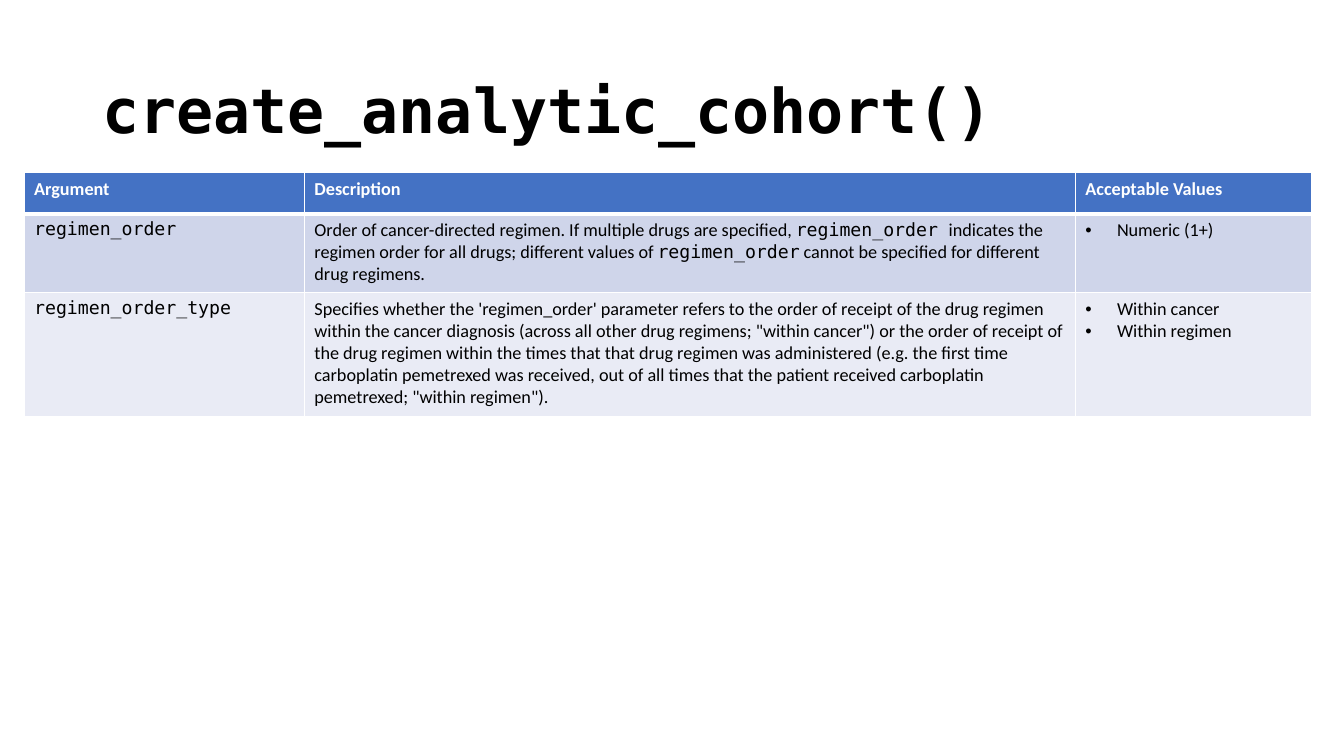
from dataclasses import dataclass

from lxml import etree
from pptx import Presentation
from pptx import util as u
from pptx.dml.color import RGBColor
from pptx.enum import text
from pptx.oxml import ns


@dataclass(frozen=True)
class Theme:
    body_font: str = "Calibri"
    code_font: str = "DejaVu Sans Mono"
    title_size: int = 44
    body_size: int = 13
    ink: str = "000000"
    white: str = "FFFFFF"
    header: str = "4472C4"
    bands: tuple = ("CFD5EA", "E9EBF5")
    thin: int = 1
    thick: int = 3


THEME = Theme()
BULLET_INDENT = 22.5
COLUMN_WIDTHS = (200.2, 550.8, 168.5)
ROW_HEIGHTS = (29.5, 56.2, 88.5)
HEADINGS = ("Argument", "Description", "Acceptable Values")

# Each argument: name, description as (text, is_code) pieces, acceptable values
ARGUMENTS = (
    (
        "regimen_order",
        (
            ("Order of cancer-directed regimen. If multiple drugs are specified, ", False),
            ("regimen_order ", True),
            ("indicates the regimen order for all drugs; different values of ", False),
            ("regimen_order", True),
            (" cannot be specified for different drug regimens.", False),
        ),
        ("Numeric (1+)",),
    ),
    (
        "regimen_order_type",
        (
            (
                "Specifies whether the 'regimen_order' parameter refers to the order of "
                "receipt of the drug regimen within the cancer diagnosis (across all other "
                "drug regimens; \"within cancer\") or the order of receipt of the drug "
                "regimen within the times that that drug regimen was administered (e.g. "
                "the first time carboplatin pemetrexed was received, out of all times that "
                "the patient received carboplatin pemetrexed; \"within regimen\").",
                False,
            ),
        ),
        ("Within cancer", "Within regimen"),
    ),
)


def add_text(paragraph, content, font=THEME.body_font, size=THEME.body_size,
             color=THEME.ink, bold=False):
    run = paragraph.add_run()
    run.text = content
    run.font.name = font
    run.font.size = u.Pt(size)
    run.font.bold = bold
    run.font.color.rgb = RGBColor.from_string(color)


def add_bullet(paragraph):
    properties = paragraph._p.get_or_add_pPr()
    properties.set("marL", str(u.Pt(BULLET_INDENT)))
    properties.set("indent", str(-u.Pt(BULLET_INDENT)))
    etree.SubElement(properties, ns.qn("a:buFont"), typeface="Arial")
    etree.SubElement(properties, ns.qn("a:buChar"), char="•")


def style_cell(cell, fill, top, bottom):
    """Draw the white cell borders and the cell fill."""
    properties = cell._tc.get_or_add_tcPr()
    widths = {"lnL": THEME.thin, "lnR": THEME.thin, "lnT": top, "lnB": bottom}
    for side, width in widths.items():
        line = etree.SubElement(properties, ns.qn(f"a:{side}"), w=str(u.Pt(width)))
        solid = etree.SubElement(line, ns.qn("a:solidFill"))
        etree.SubElement(solid, ns.qn("a:srgbClr"), val=THEME.white)
    cell.fill.solid()
    cell.fill.fore_color.rgb = RGBColor.from_string(fill)


def add_title(slide, left, top, width, height):
    box = slide.shapes.add_textbox(u.Pt(left), u.Pt(top), u.Pt(width), u.Pt(height))
    frame = box.text_frame
    frame.word_wrap = True
    frame.vertical_anchor = text.MSO_ANCHOR.MIDDLE
    paragraph = frame.paragraphs[0]
    paragraph.line_spacing = 0.9
    add_text(paragraph, "create_analytic_cohort()", font=THEME.code_font,
             size=THEME.title_size, bold=True)


def add_argument_table(slide, left, top):
    table = slide.shapes.add_table(
        len(ROW_HEIGHTS), len(COLUMN_WIDTHS), u.Pt(left), u.Pt(top),
        u.Pt(sum(COLUMN_WIDTHS)), u.Pt(sum(ROW_HEIGHTS))).table
    for column, width in zip(table.columns, COLUMN_WIDTHS):
        column.width = u.Pt(width)
    for row, height in zip(table.rows, ROW_HEIGHTS):
        row.height = u.Pt(height)

    # Header row
    for cell, heading in zip(table.rows[0].cells, HEADINGS):
        style_cell(cell, THEME.header, THEME.thin, THEME.thick)
        add_text(cell.text_frame.paragraphs[0], heading, color=THEME.white, bold=True)

    # One row for each argument
    for index, (name, description, values) in enumerate(ARGUMENTS):
        cells = list(table.rows[index + 1].cells)
        for cell in cells:
            style_cell(cell, THEME.bands[index % 2],
                       THEME.thick if index == 0 else THEME.thin, THEME.thin)
        name_frame, description_frame, values_frame = (c.text_frame for c in cells)
        add_text(name_frame.paragraphs[0], name, font=THEME.code_font)
        for content, is_code in description:
            add_text(description_frame.paragraphs[0], content,
                     font=THEME.code_font if is_code else THEME.body_font)
        for position, value in enumerate(values):
            paragraph = (values_frame.add_paragraph() if position
                         else values_frame.paragraphs[0])
            add_bullet(paragraph)
            add_text(paragraph, value)


def main():
    presentation = Presentation()
    presentation.slide_width = u.Pt(960)
    presentation.slide_height = u.Pt(540)
    slide = presentation.slides.add_slide(presentation.slide_layouts[6])
    add_title(slide, 66, 28.75, 828, 104.4)
    add_argument_table(slide, 17.2, 123.4)
    presentation.save("out.pptx")


if __name__ == "__main__":
    main()
